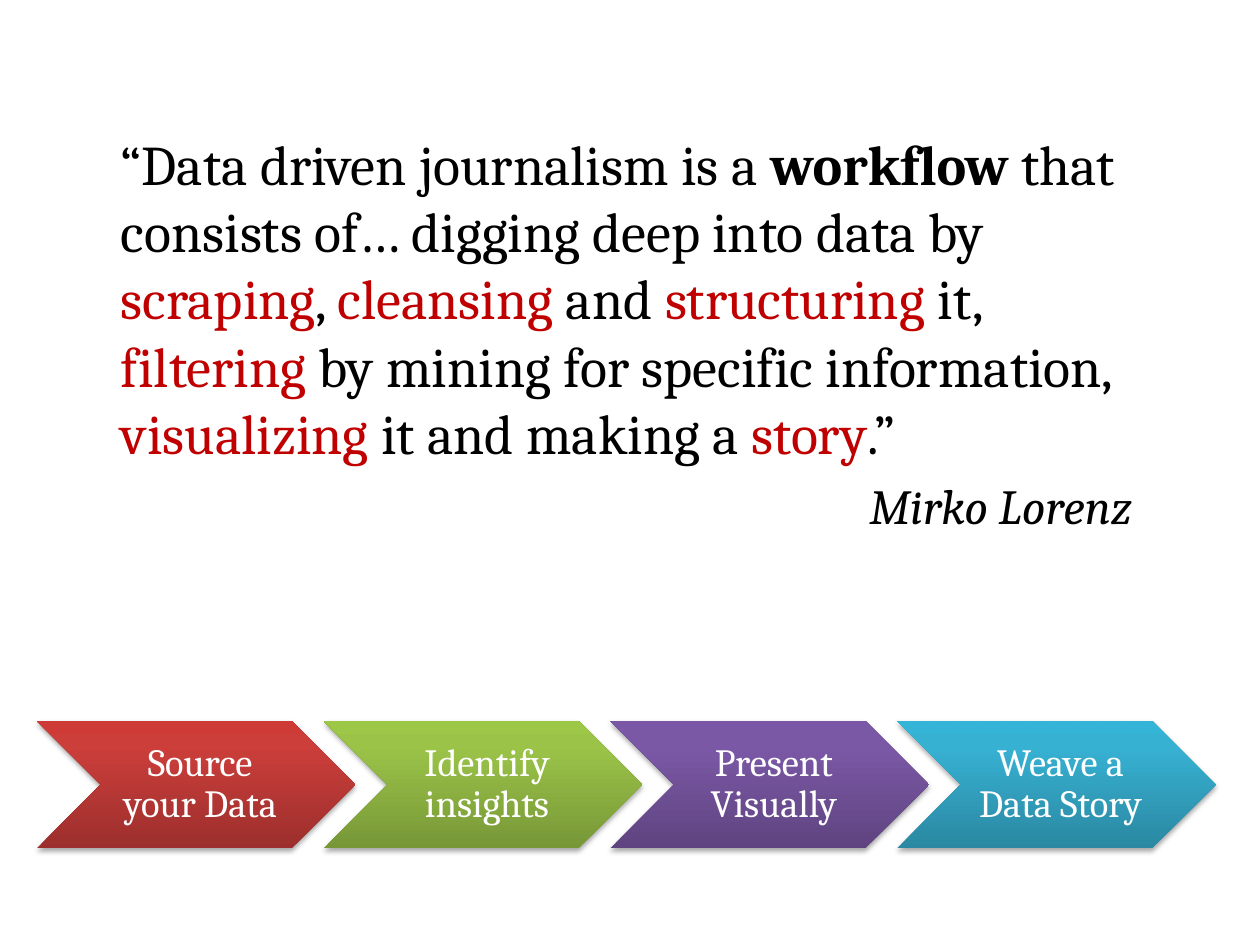
"""Build a slide with a quotation on data journalism above a four-step workflow."""
from copy import deepcopy

from lxml.etree import SubElement
from pptx import Presentation
from pptx.dml.color import RGBColor
from pptx.enum.shapes import MSO_SHAPE
from pptx.enum.text import MSO_ANCHOR, PP_ALIGN
from pptx.oxml.ns import qn
from pptx.util import Pt

FONT = "Cambria"
BLACK, RED, WHITE = "000000", "C00000", "FFFFFF"
QUOTE = [
    ("“Data driven journalism is a ", BLACK, False),
    ("workflow ", BLACK, True),
    ("that consists of… digging deep into data by ", BLACK, False),
    ("scraping", RED, False),
    (", ", BLACK, False),
    ("cleansing ", RED, False),
    ("and ", BLACK, False),
    ("structuring ", RED, False),
    ("it, ", BLACK, False),
    ("filtering", RED, False),
    (" by mining for specific information, ", BLACK, False),
    ("visualizing ", RED, False),
    ("it and making a ", BLACK, False),
    ("story", RED, False),
    (".”", BLACK, False),
]
AUTHOR = "Mirko Lorenz"
STEPS = [
    ("Source your Data", ("9C2F2D", "CB3E3A", "CE3B37")),
    ("Identify insights", ("779737", "9BC348", "9DC746")),
    ("Present Visually", ("5F4480", "7B58A6", "7C57A8")),
    ("Weave a Data Story", ("2A88A2", "37B1D2", "34B4D6")),
]
STOPS = (0, 0.8, 1)
STEP_LEFT, STEP_TOP, STEP_WIDTH, STEP_HEIGHT = 21, 412, 182.1, 72.8
STEP_PITCH = STEP_WIDTH * 0.9
LABEL_INSET = STEP_HEIGHT / 2


def color(value):
    return RGBColor.from_string(value)


def add_run(paragraph, text, size, ink, bold=False, italic=False):
    run = paragraph.add_run()
    run.text = text
    run.font.name, run.font.size = FONT, Pt(size)
    run.font.bold, run.font.italic = bold, italic
    run.font.color.rgb = color(ink)


def add_text_frame(slide, left, top, width, height):
    frame = slide.shapes.add_textbox(Pt(left), Pt(top), Pt(width), Pt(height)).text_frame
    frame.word_wrap = True
    return frame


def shade(chevron, inks):
    fill = chevron.fill
    fill.gradient()
    fill.gradient_angle = 90
    stop_list = chevron._element.spPr.find(".//" + qn("a:gsLst"))
    stop_list.append(deepcopy(stop_list[-1]))
    for stop, ink, position in zip(fill.gradient_stops, inks, STOPS):
        stop.color.rgb = color(ink)
        stop.position = position


def cast_shadow(chevron):
    chevron.shadow.inherit = False
    effects = chevron._element.spPr.find(qn("a:effectLst"))
    shadow = SubElement(effects, qn("a:outerShdw"), blurRad=str(Pt(3.1)),
                        dist=str(Pt(1.8)), dir="5400000", rotWithShape="0")
    ink = SubElement(shadow, qn("a:srgbClr"), val=BLACK)
    SubElement(ink, qn("a:alpha"), val="35000")


def add_quote(slide):
    frame = add_text_frame(slide, 62, 70.5, 592, 448.5)
    for text, ink, bold in QUOTE:
        add_run(frame.paragraphs[0], text, 32, ink, bold)
    author = frame.add_paragraph()
    author.alignment = PP_ALIGN.RIGHT
    author.space_before = Pt(5.6)
    add_run(author, AUTHOR, 28, BLACK, italic=True)


def add_step(slide, left, label, inks):
    chevron = slide.shapes.add_shape(MSO_SHAPE.CHEVRON, Pt(left), Pt(STEP_TOP),
                                     Pt(STEP_WIDTH), Pt(STEP_HEIGHT))
    shade(chevron, inks)
    chevron.line.fill.background()
    cast_shadow(chevron)
    frame = add_text_frame(slide, left + LABEL_INSET, STEP_TOP,
                           STEP_WIDTH - 2 * LABEL_INSET, STEP_HEIGHT)
    frame.vertical_anchor = MSO_ANCHOR.MIDDLE
    frame.margin_left = Pt(7)
    frame.margin_right = frame.margin_top = frame.margin_bottom = Pt(2.3)
    paragraph = frame.paragraphs[0]
    paragraph.alignment = PP_ALIGN.CENTER
    paragraph.line_spacing = 0.9
    add_run(paragraph, label, 22, WHITE)


def main():
    deck = Presentation()
    deck.slide_width, deck.slide_height = Pt(720), Pt(540)
    slide = deck.slides.add_slide(deck.slide_layouts[6])
    add_quote(slide)
    for index, (label, inks) in enumerate(STEPS):
        add_step(slide, STEP_LEFT + index * STEP_PITCH, label, inks)
    deck.save("out.pptx")


if __name__ == "__main__":
    main()
